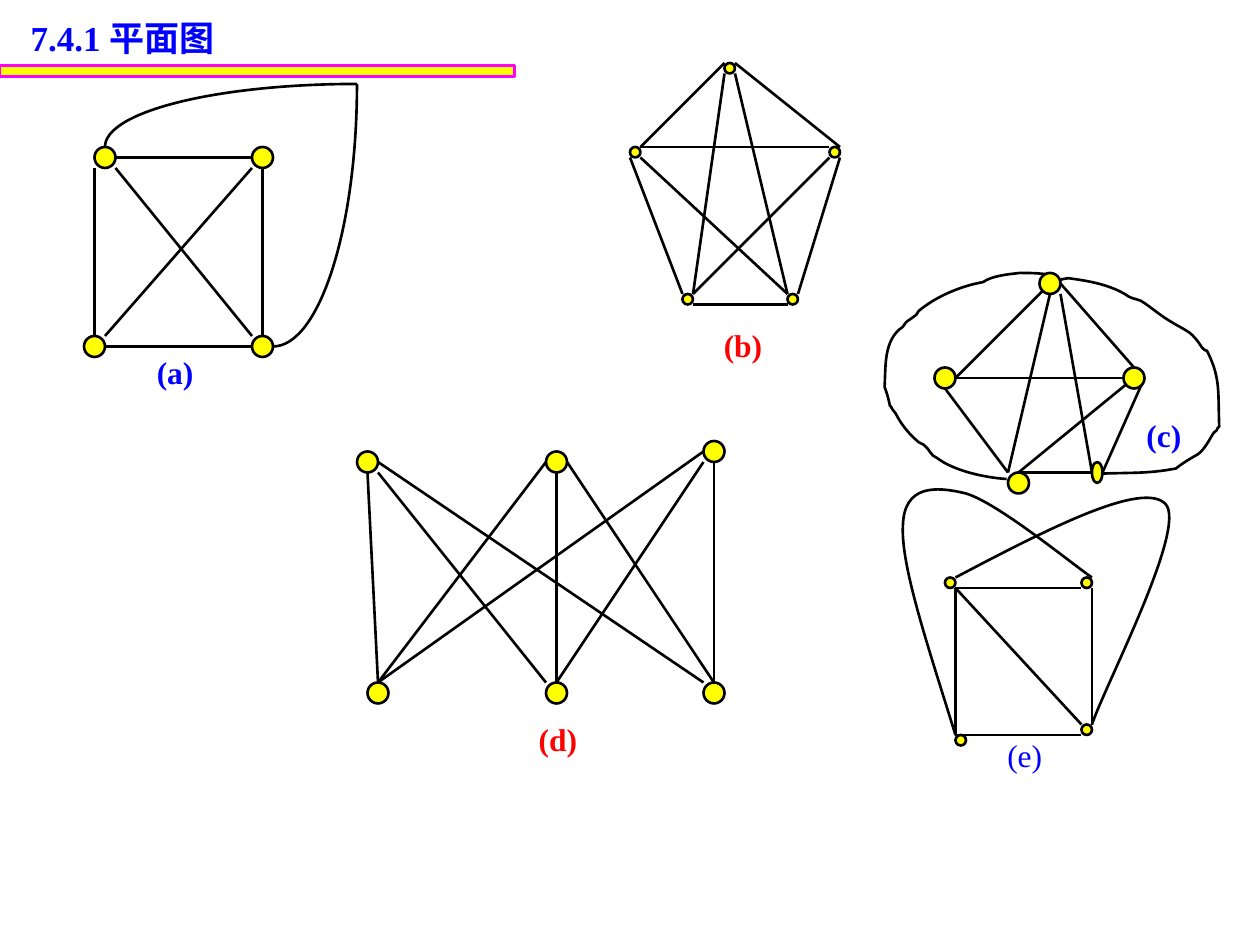
from lxml.etree import SubElement
from pptx import Presentation
from pptx.dml.color import RGBColor
from pptx.enum.shapes import MSO_CONNECTOR as CONN, MSO_SHAPE as SHAPE
from pptx.enum.text import MSO_AUTO_SIZE as AUTO
from pptx.oxml.ns import qn
from pptx.util import Emu, Pt

PX = 9525  # EMU per px, 96 px to the inch
COLORS = {"node": "FFFF00", "edge": "000000", "bar": "FF00FF",
          "blue": "0000FF", "red": "FF0000"}


def px(*values):
    return [Emu(v * PX) for v in values]


def rgb(name):
    return RGBColor.from_string(COLORS[name])


def write(tf, text, size=18, color="blue", bold=True, font="Times New Roman"):
    r = tf.paragraphs[0].add_run()
    r.text = text
    r.font.size, r.font.bold, r.font.name = Pt(size), bold, font
    r.font.color.rgb = rgb(color)


class Board:
    def __init__(self, slide):
        self.slide = slide
        self.shapes = slide.shapes

    def group(self):
        self.shapes = self.slide.shapes.add_group_shape().shapes

    def ungroup(self):
        self.shapes = self.slide.shapes

    def outline(self, item, color="edge", width=1.5):
        item.line.color.rgb = rgb(color)
        item.line.width = Pt(width)

    def shape(self, kind, x, y, w, h, **line):
        sp = self.shapes.add_shape(kind, *px(x, y, w, h))
        sp.shadow.inherit = False
        sp.fill.solid()
        sp.fill.fore_color.rgb = rgb("node")
        self.outline(sp, **line)

    def nodes(self, size, *corners):
        for x, y in corners:
            self.shape(SHAPE.OVAL, x, y, size, size)

    def edges(self, *ends):
        for x1, y1, x2, y2 in ends:
            cx = self.shapes.add_connector(CONN.STRAIGHT, *px(x1, y1, x2, y2))
            self.outline(cx)
            SubElement(cx._element.spPr, qn("a:effectLst"))

    def curve(self, *points):
        """Start point, then three Bezier points for each segment."""
        start, *rest = [tuple(px(*pt)) for pt in points]
        builder = self.shapes.build_freeform(*start)
        builder.add_line_segments(rest, close=False)
        sp = builder.convert_to_shape()
        steps = list(sp._element.iter(qn("a:lnTo")))
        for i in range(0, len(steps), 3):
            bezier = steps[i].makeelement(qn("a:cubicBezTo"))
            steps[i].addprevious(bezier)
            for step in steps[i:i + 3]:
                bezier.append(step[0])
                step.getparent().remove(step)
        sp.shadow.inherit = False
        sp.fill.background()
        self.outline(sp)

    def text(self, x, y, w, h, text, wrap=False, **style):
        tf = self.shapes.add_textbox(*px(x, y, w, h)).text_frame
        tf.word_wrap = wrap
        tf.auto_size = AUTO.SHAPE_TO_FIT_TEXT
        write(tf, text, **style)

    def label(self, x, y, text, **style):
        self.text(x, y, 50, 38, text, **style)


def main():
    prs = Presentation()
    prs.slide_width, prs.slide_height = px(960, 720)
    s = Board(prs.slides.add_slide(prs.slide_layouts[6]))

    # Graph (a): square with both diagonals and an outer arc
    s.nodes(16, (72, 112), (192, 112), (64, 256), (192, 256))
    s.edges((80, 264, 192, 264), (72, 128, 72, 256), (88, 120, 192, 120),
            (200, 128, 200, 256), (88, 128, 192, 256), (80, 256, 192, 128))
    s.label(110, 264, "(a)")
    s.group()
    s.curve((208, 264), (243, 264), (272, 175), (272, 64))
    s.curve((272, 64), (166, 64), (80, 85), (80, 112))

    # Graph (b): complete graph on five vertices
    s.group()
    s.nodes(8, (480, 112), (632, 112), (552, 48), (520, 224), (600, 224))
    s.edges((528, 232, 600, 232), (488, 112, 552, 48), (560, 48, 640, 112),
            (480, 120, 520, 224), (640, 120, 608, 224), (488, 112, 632, 112),
            (552, 56, 528, 224), (560, 56, 600, 224), (528, 224, 632, 120),
            (600, 224, 488, 120))
    s.label(542, 244, "(b)", color="red")

    # Graph (d): complete bipartite graph
    s.group()
    s.nodes(16, (272, 344), (416, 344), (536, 336),
            (280, 520), (416, 520), (536, 520))
    s.edges((280, 360, 288, 520), (288, 360, 416, 520), (288, 352, 536, 520),
            (416, 352, 288, 520), (424, 360, 424, 520), (432, 352, 544, 520),
            (288, 520, 536, 344), (424, 520, 536, 352), (544, 520, 544, 352))
    s.label(401, 544, "(d)", color="red")
    s.ungroup()

    # Graph (c): edges and label
    s.edges((728, 288, 864, 288), (800, 224, 768, 360), (808, 224, 832, 360),
            (800, 216, 728, 288), (808, 216, 864, 280), (720, 296, 768, 360),
            (776, 360, 832, 360), (872, 288, 840, 360), (776, 360, 864, 288))
    s.label(864, 312, "(c)")

    # Graph (e): square with two outer loops
    s.nodes(8, (720, 440), (824, 440))
    s.curve((728, 560), (708, 495), (686, 431), (688, 400),
            (689, 370), (712, 370), (736, 376),
            (760, 383), (816, 429), (832, 440))
    s.edges((728, 560, 824, 560), (728, 448, 728, 560),
            (728, 448, 824, 448), (832, 448, 832, 552))
    s.curve((728, 440), (800, 402), (871, 366), (888, 384),
            (905, 402), (841, 524), (832, 552))
    s.label(758, 556, "(e)", bold=False)

    # Graph (c): hand-drawn outer edges, left then right
    s.curve((767, 365), (751, 364), (727, 359), (714, 349),
            (712, 348), (710, 347), (709, 345), (708, 343), (706, 341), (704, 339),
            (703, 338), (701, 338), (700, 337), (693, 331), (688, 325), (684, 318),
            (683, 316), (682, 314), (680, 312), (680, 311), (678, 309), (678, 309),
            (677, 304), (676, 300), (674, 295), (675, 279), (673, 259), (688, 249),
            (692, 243), (689, 247), (698, 240), (699, 239), (699, 238), (700, 237),
            (713, 226), (732, 218), (749, 215), (756, 210), (769, 209), (777, 208),
            (783, 208), (790, 208), (797, 209), (800, 209), (806, 211), (806, 215))
    s.curve((836, 361), (864, 360), (875, 361), (896, 357),
            (901, 353), (906, 350), (913, 346), (918, 342), (921, 336), (924, 331),
            (924, 330), (926, 329), (927, 328), (927, 327), (928, 326), (929, 325),
            (928, 300), (930, 289), (921, 270), (918, 264), (921, 270), (916, 265),
            (914, 262), (912, 259), (910, 257), (906, 252), (898, 249), (892, 245),
            (885, 241), (878, 235), (872, 231), (869, 228), (863, 228), (860, 226),
            (847, 217), (829, 214), (814, 212), (808, 213), (806, 213), (803, 217))

    # Diagonal of (e), then the vertices of (c) and (e) on top
    s.edges((728, 448, 824, 552))
    s.nodes(16, (712, 280), (768, 360), (856, 280), (792, 208))
    s.shape(SHAPE.OVAL, 832, 352, 8, 16)
    s.nodes(8, (824, 552), (728, 560))

    # Title and its bar
    s.shape(SHAPE.RECTANGLE, 0, 50, 392, 8, color="bar", width=1.75)
    s.text(14, 8, 257, 41, "7.4.1 平面图", wrap=True, size=20)

    prs.save("out.pptx")


if __name__ == "__main__":
    main()
